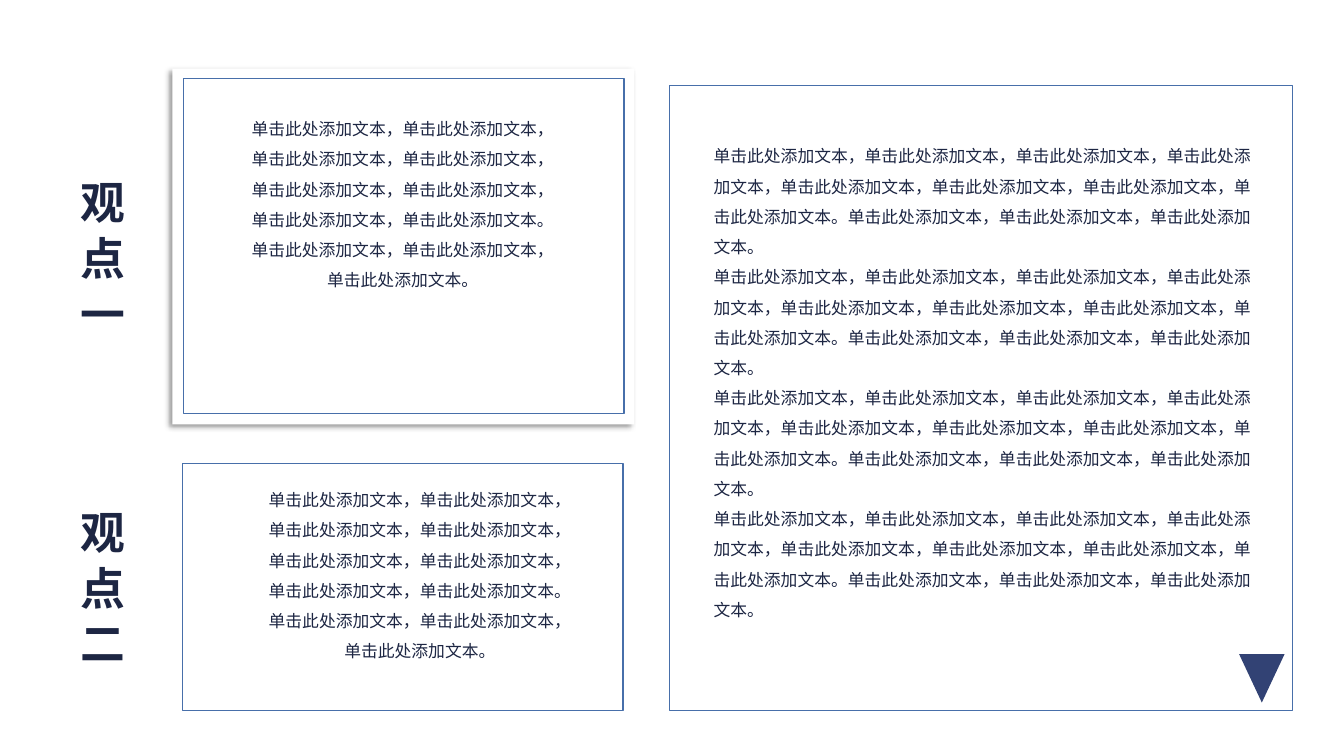
from lxml.etree import SubElement
from pptx import Presentation
from pptx.dml.color import RGBColor
from pptx.enum.shapes import MSO_SHAPE
from pptx.enum.text import MSO_AUTO_SIZE, PP_ALIGN
from pptx.oxml.ns import qn
from pptx.util import Emu, Inches, Pt

INK, BLUE, NAVY, WHITE = "1D2643", "476FAA", "324274", "FFFFFF"
CLAUSE = "单击此处添加文本"
BODY = "".join("，".join([CLAUSE] * n) + "。" for n in (8, 3))


def rgb(value):
    return RGBColor.from_string(value)


class Deck:
    """Builds one slide; boxes are left, top, width, height in percent of the slide."""

    font = "Noto Sans CJK SC"

    def __init__(self):
        self.prs = Presentation()
        self.prs.slide_width, self.prs.slide_height = Inches(13.33), Inches(7.5)
        self.s = self.prs.slides.add_slide(self.prs.slide_layouts[6])

    def place(self, box):
        w, h = self.prs.slide_width, self.prs.slide_height
        return [Emu(int(v * side / 100)) for v, side in zip(box, (w, h, w, h))]

    def shape(self, box, fill=None, line=None, kind=MSO_SHAPE.RECTANGLE):
        sp = self.s.shapes.add_shape(kind, *self.place(box))
        sp.shadow.inherit = False
        if fill:
            sp.fill.solid()
            sp.fill.fore_color.rgb = rgb(fill)
        else:
            sp.fill.background()
        if line:
            sp.line.color.rgb = rgb(line)
            sp.line.width = Pt(1)
        else:
            sp.line.fill.background()
        return sp

    def shadow(self, sp):
        effects = sp._element.spPr.find(qn("a:effectLst"))
        outer = SubElement(effects, qn("a:outerShdw"), blurRad=str(Pt(4)), dist=str(Pt(3)),
                           dir=str(135 * 60000), algn="tr", rotWithShape="0")
        color = SubElement(outer, qn("a:srgbClr"), val="000000")
        SubElement(color, qn("a:alpha"), val="40000")

    def text(self, box, lines, size=12, bold=False, **para):
        tf = self.s.shapes.add_textbox(*self.place(box)).text_frame
        tf.word_wrap = True
        tf.auto_size = MSO_AUTO_SIZE.SHAPE_TO_FIT_TEXT
        for i, line in enumerate(lines):
            p = tf.add_paragraph() if i else tf.paragraphs[0]
            for name, value in para.items():
                setattr(p, name, value)
            r = p.add_run()
            r.text = line
            for name, value in {"size": Pt(size), "bold": bold, "name": self.font}.items():
                setattr(r.font, name, value)
            r.font.color.rgb = rgb(INK)
            rPr = r._r.get_or_add_rPr()
            rPr.set("lang", "zh-CN")
            SubElement(rPr, qn("a:ea"), typeface=self.font)
        return tf

    def heading(self, box, label, indent):
        tf = self.text(box, [label], size=32, bold=True)
        tf._txBody.bodyPr.set("vert", "eaVert")
        tf.paragraphs[0]._p.get_or_add_pPr().set("marL", str(Inches(indent)))


def main():
    deck = Deck()
    deck.shadow(deck.shape((12.83, 9.07, 34.36, 47.07), WHITE))
    for box in ((12.83, 59.73, 34.13, 36), (3.53, 9.07, 7.28, 47.07),
                (3.53, 59.73, 7.28, 36.13), (48.54, 9.07, 48.84, 86.8)):
        deck.shape(box, WHITE)
    for top, label, indent in ((17.6, "观 点 一", 0.37), (62.8, "观 点 二", 0.25)):
        deck.heading((4.35, top, 5.55, 30), label, indent)
    for box in ((49.81, 11.33, 46.36, 82.67), (13.65, 10.4, 32.78, 44.27),
                (13.58, 61.33, 32.78, 32.67)):
        deck.shape(box, line=BLUE)
    deck.shape((92.2, 86.53, 3.38, 6.4), NAVY, kind=MSO_SHAPE.FLOWCHART_MERGE)
    for left, top in ((17.55, 13.73), (18.83, 62.8)):
        deck.text((left, top, 24.83, 25.2), [BODY], line_spacing=1.5, alignment=PP_ALIGN.CENTER)
    deck.text((52.36, 17.33, 42.24, 73.6), [BODY] * 4, line_spacing=1.5)
    deck.prs.save("out.pptx")


if __name__ == "__main__":
    main()
